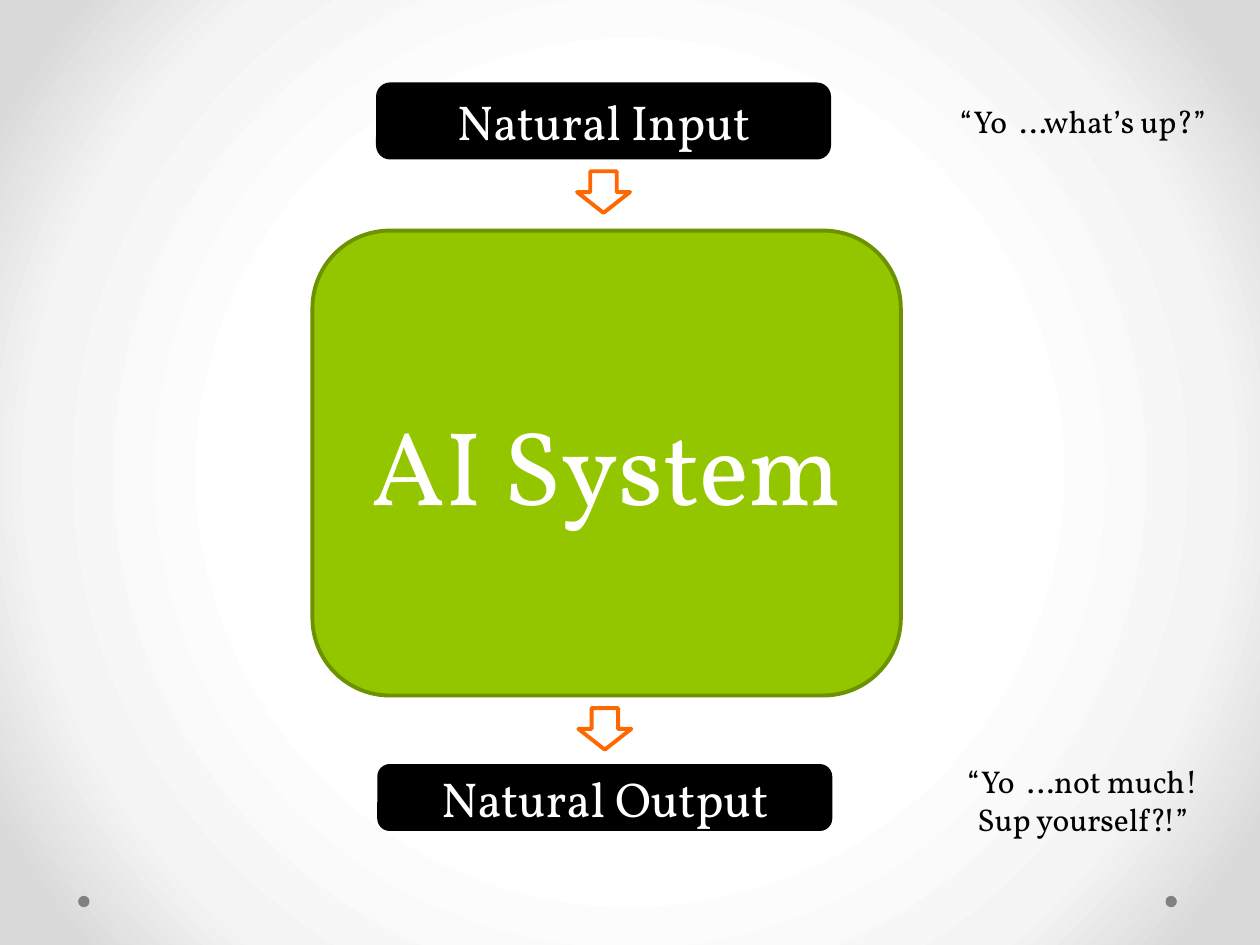
from dataclasses import dataclass

from pptx import Presentation
from pptx.dml.color import RGBColor
from pptx.enum.shapes import MSO_SHAPE
from pptx.enum.text import MSO_ANCHOR, MSO_AUTO_SIZE, PP_ALIGN
from pptx.oxml import parse_xml
from pptx.oxml.ns import nsdecls, qn
from pptx.util import Inches, Pt

ROUNDED = MSO_SHAPE.ROUNDED_RECTANGLE
DOWN_ARROW = MSO_SHAPE.DOWN_ARROW
OVAL = MSO_SHAPE.OVAL
LEFT, CENTER = PP_ALIGN.LEFT, PP_ALIGN.CENTER


@dataclass(frozen=True)
class Theme:
    font: str = "Vollkorn"
    black: str = "000000"
    white: str = "FFFFFF"
    green: str = "94C600"
    dark_green: str = "6D9200"
    orange: str = "FF6700"
    gray: str = "808080"
    background: tuple = ((50, "FFFFFF"), (76, "F4F4F4"), (92, "DADADA"))
    system_size: int = 60
    label_size: int = 28
    quote_size: int = 18
    line_width: float = 2.25


theme = Theme()


def add_shape(kind, box, fill, line=None):
    shape = slide.shapes.add_shape(kind, *map(Inches, box))
    shape.shadow.inherit = False
    shape.fill.solid()
    shape.fill.fore_color.rgb = RGBColor.from_string(fill)
    if line:
        shape.line.color.rgb = RGBColor.from_string(line)
        shape.line.width = Pt(theme.line_width)
    else:
        shape.line.fill.background()
    return shape


def write_text(shape, text, size, color, alignments):
    shape.text_frame.text = text
    for paragraph, alignment in zip(shape.text_frame.paragraphs, alignments):
        paragraph.alignment = alignment
        for run in paragraph.runs:
            run.font.name = theme.font
            run.font.size = Pt(size)
            run.font.color.rgb = RGBColor.from_string(color)


presentation = Presentation()
presentation.slide_width = Inches(10)
presentation.slide_height = Inches(7.5)
slide = presentation.slides.add_slide(presentation.slide_layouts[6])

# Background: circular gradient from the centre
slide.background.fill.gradient()
stops = "".join(
    f'<a:gs pos="{position * 1000}"><a:srgbClr val="{color}"/></a:gs>'
    for position, color in theme.background
)
gradient = slide.element.find(".//" + qn("a:gradFill"))
gradient.getparent().replace(gradient, parse_xml(
    f'<a:gradFill rotWithShape="1" {nsdecls("a")}><a:gsLst>{stops}</a:gsLst>'
    '<a:path path="circle"><a:fillToRect l="50000" t="50000" r="50000" b="50000"/>'
    '</a:path></a:gradFill>'
))

# Corner dots
for left in (9.25, 0.62):
    add_shape(OVAL, (left, 7.11, 0.09, 0.09), theme.gray)

# Input, output and system boxes
for text, box, fill, line, size in (
    ("Natural Input", (3, 0.67, 3.58, 0.58), theme.black, theme.black, theme.label_size),
    ("Natural Output", (3.01, 6.08, 3.58, 0.5), theme.black, theme.black, theme.label_size),
    ("AI System", (2.48, 1.83, 4.67, 3.69), theme.green, theme.dark_green, theme.system_size),
):
    shape = add_shape(ROUNDED, box, fill, line)
    shape.text_frame.vertical_anchor = MSO_ANCHOR.MIDDLE
    write_text(shape, text, size, theme.white, [CENTER])

# Flow arrows
for left, top in ((4.58, 1.36), (4.59, 5.62)):
    add_shape(DOWN_ARROW, (left, top, 0.42, 0.33), theme.white, theme.orange)

# Example quotes
for text, box, alignments in (
    ("“Yo  …what’s up?”", (7.52, 0.76, 2.32, 0.4), [LEFT]),
    ("“Yo  …not much!\nSup yourself?!”", (7.58, 6, 2.13, 0.71), [LEFT, CENTER]),
):
    quote = slide.shapes.add_textbox(*map(Inches, box))
    quote.text_frame.word_wrap = False
    quote.text_frame.auto_size = MSO_AUTO_SIZE.SHAPE_TO_FIT_TEXT
    write_text(quote, text, theme.quote_size, theme.black, alignments)

presentation.save("out.pptx")
